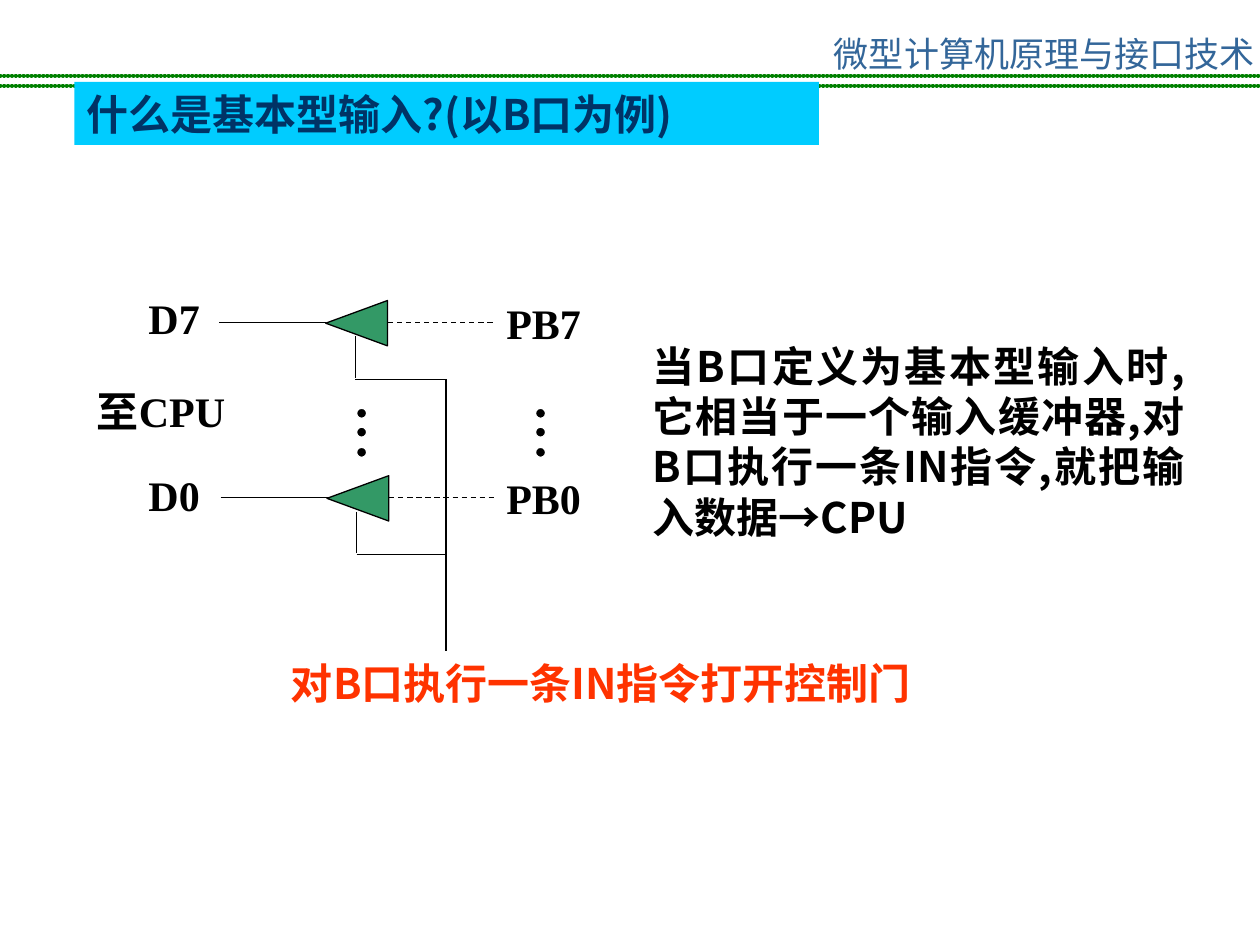
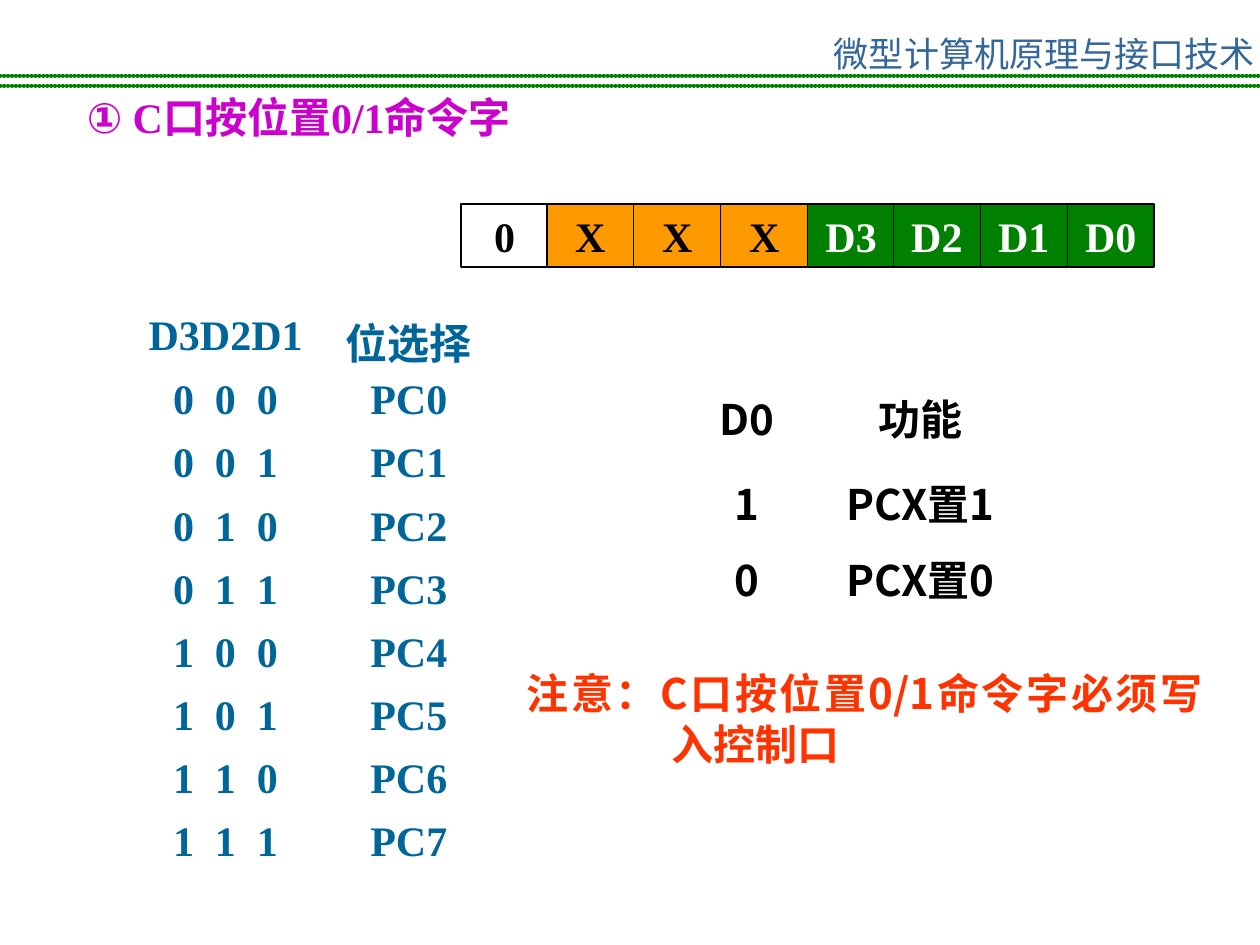
from typing import NamedTuple, Optional

from lxml import etree
from pptx import Presentation
from pptx import util as u
from pptx.dml.color import RGBColor
from pptx.enum import dml, shapes, text
from pptx.oxml.ns import qn

PX_PER_INCH = 100
SLIDE_WIDTH, SLIDE_HEIGHT = 1000, 750

BLACK = RGBColor(0x00, 0x00, 0x00)
WHITE = RGBColor(0xFF, 0xFF, 0xFF)
GREEN = RGBColor(0x00, 0x80, 0x00)
BUFFER_GREEN = RGBColor(0x33, 0x99, 0x66)
ORANGE = RGBColor(0xFF, 0x99, 0x00)
RED = RGBColor(0xFF, 0x33, 0x00)
CYAN = RGBColor(0x00, 0xCC, 0xFF)
NAVY = RGBColor(0x00, 0x33, 0x66)
HEADER_BLUE = RGBColor(0x33, 0x66, 0x99)
TABLE_BLUE = RGBColor(0x00, 0x66, 0x99)
MAGENTA = RGBColor(0xCC, 0x00, 0xCC)

SANS = "Noto Sans CJK SC"
SERIF = "Times New Roman"
SYMBOL = "Arial"

LEFT = text.PP_ALIGN.LEFT
CENTER = text.PP_ALIGN.CENTER
JUSTIFY = text.PP_ALIGN.JUSTIFY


class Box(NamedTuple):
    left: int
    top: int
    width: int
    height: int


class Style(NamedTuple):
    font: str = SERIF
    color: RGBColor = BLACK
    align: text.PP_ALIGN = LEFT
    size: int = 24
    bold: bool = True


class Label(NamedTuple):
    words: str
    box: Box
    style: Style = Style()


class BitField(NamedTuple):
    name: str
    fill: Optional[RGBColor]
    color: RGBColor = BLACK


class Grid(NamedTuple):
    left: int
    top: int
    columns: list[int]
    rows: list[int]
    cells: list[tuple[str, str]]
    style: Style


def px(length: int) -> u.Emu:
    return u.Emu(round(length * u.Inches(1) / PX_PER_INCH))


def place(box: Box) -> list[u.Emu]:
    return [px(length) for length in box]


def style_paragraph(paragraph, style: Style) -> None:
    paragraph.alignment = style.align
    paragraph._p.get_or_add_pPr().set("hangingPunct", "0")
    paragraph.font.name = style.font
    paragraph.font.size = u.Pt(style.size)
    paragraph.font.bold = style.bold
    paragraph.font.color.rgb = style.color


def write(shape, words: str, style: Style) -> None:
    frame = shape.text_frame
    frame.word_wrap = True
    frame.auto_size = text.MSO_AUTO_SIZE.SHAPE_TO_FIT_TEXT
    frame.vertical_anchor = text.MSO_ANCHOR.TOP
    paragraph = frame.paragraphs[0]
    paragraph.text = words
    style_paragraph(paragraph, style)


def add_label(slide, label: Label):
    shape = slide.shapes.add_textbox(*place(label.box))
    write(shape, label.words, label.style)
    return shape


def add_shape(slide, kind, box: Box, fill: Optional[RGBColor],
              line: Optional[RGBColor] = None):
    shape = slide.shapes.add_shape(kind, *place(box))
    shape.shadow.inherit = False
    if fill is None:
        shape.fill.background()
    else:
        shape.fill.solid()
        shape.fill.fore_color.rgb = fill
    if line is None:
        shape.line.fill.background()
    else:
        shape.line.color.rgb = line
        shape.line.width = u.Pt(0.75)
    return shape


def add_line(slide, start: tuple[int, int], end: tuple[int, int],
             color: RGBColor = BLACK, width: float = 0.75, dash=None):
    line = slide.shapes.add_connector(
        shapes.MSO_CONNECTOR.STRAIGHT, *map(px, start), *map(px, end))
    line.line.color.rgb = color
    line.line.width = u.Pt(width)
    if dash is not None:
        line.line.dash_style = dash
    properties = line.element.find(qn("p:spPr"))
    etree.SubElement(properties, qn("a:effectLst"))
    return line


def add_beaded_line(slide, top: int) -> None:
    line = add_line(slide, (0, top), (SLIDE_WIDTH, top), GREEN, 2.25)
    outline = line.element.find(qn("p:spPr")).find(qn("a:ln"))
    outline.set("cap", "rnd")
    dashes = etree.SubElement(outline, qn("a:custDash"))
    etree.SubElement(dashes, qn("a:ds"), d="10000", sp="90000")


def add_page(presentation):
    slide = presentation.slides.add_slide(presentation.slide_layouts[6])
    header = add_label(slide, Label(
        "微型计算机原理与接口技术", Box(652, 21, 355, 24),
        Style(SANS, HEADER_BLUE, size=20, bold=False)))
    header.text_frame.word_wrap = False
    header.text_frame.auto_size = text.MSO_AUTO_SIZE.NONE
    for top, inset in ((68, 59), (60, 57)):
        add_line(slide, (inset, top), (SLIDE_WIDTH, top), GREEN)
        add_beaded_line(slide, top)
    return slide


def add_buffer(slide, dx: int, dy: int) -> None:
    def at(x: int, y: int) -> tuple[int, int]:
        return x + dx, y + dy

    add_line(slide, at(174, 256), at(259, 256))
    add_line(slide, at(308, 256), at(392, 256), dash=dml.MSO_LINE.DASH)
    triangle = add_shape(slide, shapes.MSO_SHAPE.ISOSCELES_TRIANGLE,
                         Box(*at(265, 232), 36, 49), BUFFER_GREEN, BLACK)
    triangle.rotation = 270
    add_line(slide, at(282, 267), at(282, 300))
    add_line(slide, at(282, 301), at(354, 301))


def add_grid(slide, grid: Grid):
    frame = slide.shapes.add_table(
        len(grid.rows), len(grid.columns),
        *place(Box(grid.left, grid.top, sum(grid.columns), sum(grid.rows))))
    table = frame.table
    table.first_row = table.horz_banding = False
    for column, width in zip(table.columns, grid.columns):
        column.width = px(width)
    for row, height, words in zip(table.rows, grid.rows, grid.cells):
        row.height = px(height)
        for cell, word in zip(row.cells, words):
            cell.fill.background()
            cell.vertical_anchor = text.MSO_ANCHOR.MIDDLE
            cell.text = word
            style_paragraph(cell.text_frame.paragraphs[0], grid.style)
    return table


def build_basic_input(presentation) -> None:
    slide = add_page(presentation)
    title = add_shape(slide, shapes.MSO_SHAPE.RECTANGLE,
                      Box(59, 65, 591, 50), CYAN)
    write(title, "什么是基本型输入?(以B口为例)", Style(SANS, NAVY, JUSTIFY))

    for dx, dy in ((0, 0), (1, 139)):
        add_buffer(slide, dx, dy)
    add_line(slide, (354, 301), (354, 517))
    for left in (283, 425):
        for top in (324, 339, 355):
            add_shape(slide, shapes.MSO_SHAPE.OVAL,
                      Box(left, top, 8, 8), BLACK, WHITE)

    for label in (
        Label("当B口定义为基本型输入时,它相当于一个输入缓冲器,"
              "对B口执行一条IN指令,就把输入数据→CPU",
              Box(508, 265, 442, 170), Style(SANS, align=JUSTIFY)),
        Label("对B口执行一条IN指令打开控制门",
              Box(100, 517, 754, 50), Style(SANS, RED, CENTER)),
        Label("PB7", Box(392, 231, 117, 50)),
        Label("PB0", Box(392, 370, 117, 50)),
        Label("至CPU", Box(67, 301, 150, 50)),
        Label("D7", Box(108, 227, 83, 50)),
        Label("D0", Box(108, 368, 83, 50)),
    ):
        add_label(slide, label)


def build_bit_command(presentation) -> None:
    slide = add_page(presentation)
    title = add_label(slide, Label("①", Box(59, 68, 465, 50),
                                   Style(SYMBOL, MAGENTA, JUSTIFY)))
    run = title.text_frame.paragraphs[0].add_run()
    run.text = " C口按位置0/1命令字"
    run.font.name = SERIF

    note = add_label(slide, Label("注意：C口按位置0/1命令字必须写入控制口",
                                  Box(408, 525, 556, 90),
                                  Style(SANS, RED, JUSTIFY)))
    indent = note.text_frame.paragraphs[0]._p.get_or_add_pPr()
    indent.set("marL", str(px(115)))
    indent.set("indent", str(-px(115)))

    fields = [BitField("0", None)]
    fields += [BitField("X", ORANGE)] * 3
    fields += [BitField(f"D{bit}", GREEN, WHITE) for bit in (3, 2, 1, 0)]
    for index, field in enumerate(fields):
        left = 366 + index * 550 // len(fields)
        shape = add_shape(slide, shapes.MSO_SHAPE.RECTANGLE,
                          Box(left, 162, 69, 50), field.fill, BLACK)
        write(shape, field.name, Style(color=field.color, align=CENTER))

    codes = [(" ".join(f"{port:03b}"), f"PC{port}") for port in range(8)]
    selection = add_grid(slide, Grid(
        100, 242, [158, 133], [50, 51] + [50] * 7, [("D3D2D1", "位选择")] + codes,
        Style(color=TABLE_BLUE, align=CENTER)))
    for row in range(1, 9):
        code = selection.cell(row, 0).text_frame.paragraphs[0].runs[0]
        code.font._element.set("spc", "300")

    add_grid(slide, Grid(
        547, 296, [92, 183], [71, 63, 50],
        [("D0", "功能"), ("1", "PCX置1"), ("0", "PCX置0")],
        Style(SANS, align=CENTER)))


def main() -> None:
    presentation = Presentation()
    presentation.slide_width = px(SLIDE_WIDTH)
    presentation.slide_height = px(SLIDE_HEIGHT)
    build_basic_input(presentation)
    build_bit_command(presentation)
    presentation.save("out.pptx")


if __name__ == "__main__":
    main()
